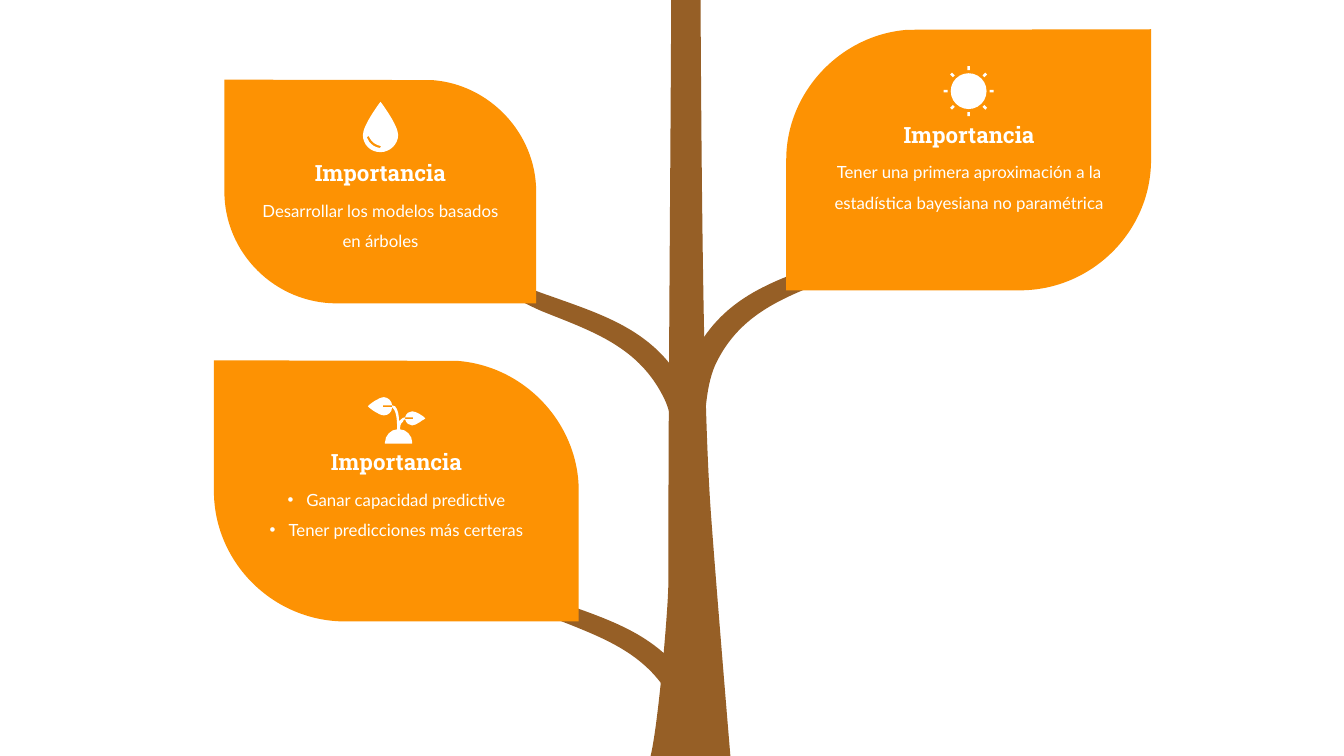
from math import cos, radians, sin

from lxml.etree import SubElement
from pptx import Presentation
from pptx.dml.color import RGBColor
from pptx.enum.shapes import MSO_SHAPE as Preset
from pptx.enum.text import MSO_AUTO_SIZE as AutoSize, PP_ALIGN as Align
from pptx.oxml.ns import qn
from pptx.util import Pt

CARDS = [
    {"title": "Importancia", "bullets": False,
     "lines": ["Tener una primera aproximación a la estadística bayesiana no paramétrica"],
     "body": (576.7, 105.1, 231.1), "leaf": (561.6, 20.9, 260.6, 186.5),
     "branch": (482.4, 128.2), "side": "right"},
    {"title": "Importancia", "bullets": True,
     "lines": ["Ganar capacidad predictive", "Tener predicciones más certeras"],
     "body": (173.1, 339.1, 220.3), "leaf": (152.8, 257.4, 260.6, 186.5),
     "branch": (319.9, 372.2), "side": "left"},
    {"title": "Importancia", "bullets": False,
     "lines": ["Desarrollar los modelos basados en árboles"],
     "body": (180, 132.5, 183.6), "leaf": (160.3, 56.9, 222.7, 159.8),
     "branch": (312.7, 153.4), "side": "left"},
]

LEAF = "M 0 0 L 0 50 C 0 77.5 16.3 100 36 100 L 100 100 L 100 50 C 100 24 85 2 66.6 0.2 Z"
BRANCH = """M 0 225.4 C 0.7 195 0 150.5 13.7 123.8 C 35.3 82.8 71.3 72 111.6 57.6
C 137.5 49 164.2 33.8 181.4 12.2 L 190.8 0 L 188.6 7.9
C 177.1 35.3 142.6 57.6 115.9 69.1 C 79.9 83.5 46.8 94.3 28.8 131.8
C 18 154.8 20.9 199.4 20.9 225.4 C 20.9 231.1 15.8 236.2 10.1 236.2
C 4.3 235.4 0 231.1 0 225.4 Z"""
TRUNK = """M 480.2 -28.1 L 500.4 -28.1 L 500.4 -5 C 501.1 138.2 502.6 282.2 506.9 352.8
C 508.3 379.4 522 543.6 522 543.6 L 463.7 543.6 C 469.4 527.8 477.4 434.9 477.4 416.9
C 477.4 288.7 478.8 141.1 479.5 -5 L 480.2 -5 Z"""
DROP = """M 12.6 0 C 12.6 0 0 16.6 0 23.8 C 0 30.2 5 36 12.6 36
C 19.4 36 25.2 30.2 25.2 23.8 C 25.2 16.6 12.6 0 12.6 0 Z
M 12.2 33.1 C 4.3 31.7 2.9 25.2 2.9 25.2 L 4.3 24.5 C 4.3 24.5 5.8 30.2 13 31.7 Z"""
SPROUT = [
    """M 17.3 7.2 C 17.3 10.8 14.4 13 11.5 13 C 7.9 13 1.4 7.9 0.7 7.2 L 0 6.5 L 0.7 5.8
C 1.4 5 7.9 0 11.5 0 C 14.4 0 17.3 2.9 17.3 5.8 L 10.8 5.8 L 10.8 7.2 Z""",
    """M 41 15.1 L 40.3 15.8 C 39.6 15.8 34.6 20.2 31.7 20.2 C 29.5 20.2 27.4 18.7 26.6 15.8
L 32.4 15.8 L 32.4 14.4 L 26.6 14.4 C 27.4 11.5 29.5 10.1 31.7 10.1
C 34.6 10.1 39.6 13.7 40.3 14.4 Z""",
    """M 23 23 C 23 21.6 23 18.7 25.2 17.3 C 25.2 16.6 25.9 15.8 26.6 15.8 L 26.6 14.4
C 25.2 14.4 24.5 15.1 23.8 15.8 C 23 16.6 23 16.6 22.3 17.3
C 22.3 13.7 21.6 8.6 19.4 6.5 C 18.7 6.5 18 5.8 17.3 5.8 L 17.3 7.2 L 18 7.9
C 20.9 10.8 20.9 18.7 20.9 23 C 16.6 23 12.2 27.4 12.2 32.4 L 12.2 33.1
L 31.7 33.1 L 31.7 32.4 C 31.7 27.4 27.4 23 23 23 Z""",
]
DROP_AT = (259.2, 72.7)
SPROUT_AT = (262.8, 283.7)
SUN = {"center": (691.9, 65.1), "radius": 12.8, "orbit": 16.4, "ray": (2.9, 1.9), "rays": 8}

THEME = {
    "wood": RGBColor.from_string("965F26"),
    "leaf": RGBColor.from_string("FD9203"),
    "white": RGBColor.from_string("FFFFFF"),
    "title": {"name": "Roboto Slab", "size": Pt(16), "bold": True},
    "body": {"name": "Lato", "size": Pt(12)},
}
TITLE_WIDTH, TITLE_HEIGHT, TITLE_RISE, BODY_HEIGHT = 110.2, 26.6, 22.3, 48.2
BULLET_INDENT = 13.5


def apply(target, values):
    for name, value in values.items():
        setattr(target, name, value)


def paint(shape, color):
    shape.shadow.inherit = False
    shape.fill.solid()
    shape.fill.fore_color.rgb = color
    shape.line.fill.background()


def contours(outline):
    for contour in outline.split("M")[1:]:
        vertices, kinds = [], ""
        for segment in contour.replace("Z", "").replace("L", "|L").replace("C", "|C").split("|"):
            numbers = [float(word) for word in segment.strip("LC \n").split()]
            pairs = list(zip(numbers[::2], numbers[1::2]))
            vertices += pairs
            kinds += ("C" if segment.startswith("C") else "L") * len(pairs)
        yield vertices, kinds


def bend(shape, kinds):
    nodes = list(shape._element.iter(qn("a:moveTo"), qn("a:lnTo")))
    controls = [node for node, kind in zip(nodes, kinds) if kind == "C"]
    for index in range(0, len(controls), 3):
        trio = controls[index:index + 3]
        curve = trio[0].makeelement(qn("a:cubicBezTo"))
        trio[0].addprevious(curve)
        for node in trio:
            curve.append(node[0])
            node.getparent().remove(node)


def draw(shapes, outline, color, left=0, top=0, scale_x=1, scale_y=1):
    builder, all_kinds = None, ""
    for contour, kinds in contours(outline):
        first, *rest = [(Pt(left + x * scale_x), Pt(top + y * scale_y)) for x, y in contour]
        if builder is None:
            builder = shapes.build_freeform(*first, scale=1.0)
        else:
            builder.move_to(*first)
        builder.add_line_segments(rest, close=True)
        all_kinds += kinds
    shape = builder.convert_to_shape()
    bend(shape, all_kinds)
    paint(shape, color)


def draw_mirrored(shapes, outline, color, left, top, width, scale_x, scale_y, mirrored):
    start, factor = (left + width, -scale_x) if mirrored else (left, scale_x)
    draw(shapes, outline, color, start, top, factor, scale_y)


def draw_foliage(shapes, card):
    on_right = card["side"] == "right"
    left, top = card["branch"]
    draw_mirrored(shapes, BRANCH, THEME["wood"], left, top, 190.8, 1, 1, not on_right)
    left, top, width, height = card["leaf"]
    draw_mirrored(shapes, LEAF, THEME["leaf"], left, top, width, width / 100, height / 100, on_right)


def draw_sun(shapes):
    center_x, center_y = SUN["center"]

    def add(preset, x, y, width, height):
        shape = shapes.add_shape(preset, Pt(x - width / 2), Pt(y - height / 2), Pt(width), Pt(height))
        paint(shape, THEME["white"])
        return shape

    add(Preset.OVAL, center_x, center_y, 2 * SUN["radius"], 2 * SUN["radius"])
    for index in range(SUN["rays"]):
        angle = index * 360 / SUN["rays"]
        x = center_x + SUN["orbit"] * cos(radians(angle))
        y = center_y + SUN["orbit"] * sin(radians(angle))
        add(Preset.RECTANGLE, x, y, *SUN["ray"]).rotation = angle


def add_bullet(para):
    properties = para._p.get_or_add_pPr()
    properties.set("marL", str(Pt(BULLET_INDENT)))
    properties.set("indent", str(-Pt(BULLET_INDENT)))
    SubElement(properties, qn("a:buFont")).set("typeface", "Arial")
    SubElement(properties, qn("a:buChar")).set("char", "•")


def add_text(shapes, place, lines, font, spacing, bullets=False):
    box = shapes.add_textbox(*map(Pt, place))
    frame = box.text_frame
    apply(frame, {"word_wrap": True, "auto_size": AutoSize.SHAPE_TO_FIT_TEXT})
    for index, line in enumerate(lines):
        para = frame.add_paragraph() if index else frame.paragraphs[0]
        apply(para, {"alignment": Align.CENTER, "line_spacing": spacing})
        if bullets:
            add_bullet(para)
        span = para.add_run()
        span.text = line
        apply(span.font, font)
        span.font.color.rgb = THEME["white"]


def add_card_text(shapes, card):
    left, top, width = card["body"]
    add_text(shapes, (left, top, width, BODY_HEIGHT), card["lines"], THEME["body"], 1.5, card["bullets"])
    title_left = left + (width - TITLE_WIDTH) / 2
    add_text(shapes, (title_left, top - TITLE_RISE, TITLE_WIDTH, TITLE_HEIGHT),
             [card["title"]], THEME["title"], 1.0)


def main():
    deck = Presentation()
    apply(deck, {"slide_width": Pt(960), "slide_height": Pt(540)})
    shapes = deck.slides.add_slide(deck.slide_layouts[6]).shapes
    for card in CARDS:
        draw_foliage(shapes, card)
    draw(shapes, DROP, THEME["white"], *DROP_AT)
    draw_sun(shapes.add_group_shape().shapes)
    sprout = shapes.add_group_shape().shapes
    for part in SPROUT:
        draw(sprout, part, THEME["white"], *SPROUT_AT)
    draw(shapes, TRUNK, THEME["wood"])
    for card in CARDS:
        add_card_text(shapes, card)
    deck.save("out.pptx")


if __name__ == "__main__":
    main()
